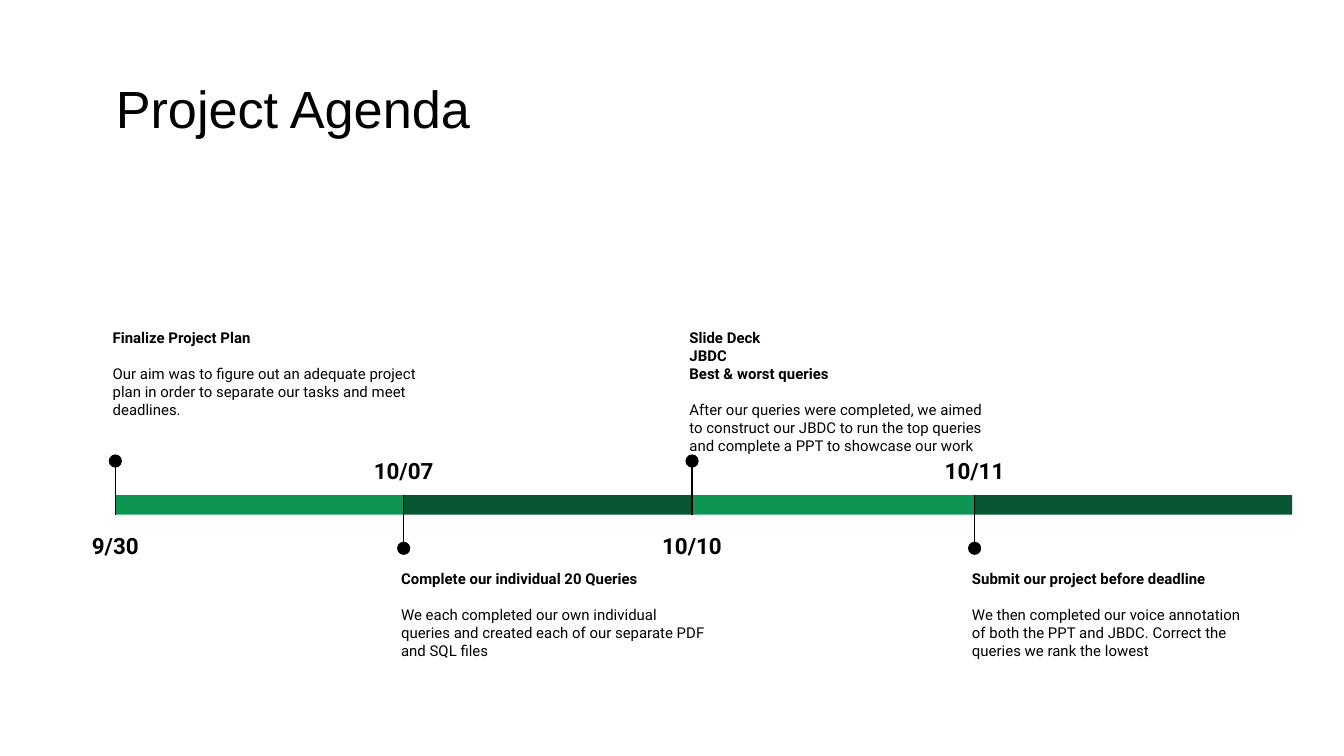
from pptx import Presentation
from pptx import util as u
from pptx.dml.color import RGBColor
from pptx.enum import shapes, text
from pptx.oxml import parse_xml
from pptx.oxml.ns import nsdecls


def color(hex_value):
    return RGBColor.from_string(hex_value)


def add_text(left, top, width, height, lines, size, font, align):
    frame = slide.shapes.add_textbox(u.Cm(left), u.Cm(top), u.Cm(width), u.Cm(height)).text_frame
    frame.word_wrap = True
    frame.margin_left = frame.margin_right = u.Cm(0.25)
    frame.margin_top = frame.margin_bottom = u.Cm(0.25)
    frame.text = "\n".join(lines)
    for paragraph in frame.paragraphs:
        paragraph.alignment = align
        paragraph.font.size = u.Pt(size)
        paragraph.font.name = font
        paragraph.font.color.rgb = color(BLACK)
    return frame.paragraphs


BLACK = "000000"
GREENS = ["0E9453", "085631"]
BAR_TOP = 9.36
BAR_HEIGHT = 0.37
BAR_END = 24.42
DOT = 0.25

milestones = [
    (2.18, "9/30", 2.4, 6.25, ["Finalize Project Plan"],
     "Our aim was to figure out an adequate project plan in order to separate our tasks and meet deadlines."),
    (7.63, "10/07", 2.08, 6.25, ["Complete our individual 20 Queries"],
     "We each completed our own individual queries and created each of our separate PDF and SQL files"),
    (13.08, "10/10", 1.93, 6.25, ["Slide Deck", "JBDC", "Best & worst queries"],
     "After our queries were completed, we aimed to construct our JBDC to run the top queries "
     "and complete a PPT to showcase our work"),
    (18.42, "10/11", 1.91, 5.77, ["Submit our project before deadline"],
     "We then completed our voice annotation of both the PPT and JBDC. Correct the queries we rank the lowest"),
]

prs = Presentation()
prs.slide_width = u.Cm(25.4)
prs.slide_height = u.Cm(14.29)
slide = prs.slides.add_slide(prs.slide_layouts[6])

add_text(1.42, 1.19, 8.23, 2.21, ["Project Agenda"], 28, "Arial", text.PP_ALIGN.CENTER)

bar_ends = [milestone[0] for milestone in milestones[1:]] + [BAR_END]
for index, (start, date, date_width, detail_width, headings, detail) in enumerate(milestones):
    if index % 2 == 0:
        pin_top, pin_bottom, dot_top, date_top, detail_top = 8.74, 9.73, 8.59, 9.73, 5.97
    else:
        pin_top, pin_bottom, dot_top, date_top, detail_top = 9.36, 10.36, 10.24, 8.31, 10.52

    bar = slide.shapes.add_shape(
        shapes.MSO_SHAPE.RECTANGLE,
        u.Cm(start), u.Cm(BAR_TOP), u.Cm(bar_ends[index] - start), u.Cm(BAR_HEIGHT))
    dot = slide.shapes.add_shape(
        shapes.MSO_SHAPE.OVAL, u.Cm(start - DOT / 2), u.Cm(dot_top), u.Cm(DOT), u.Cm(DOT))
    for part, fill in ((bar, GREENS[index % 2]), (dot, BLACK)):
        part.shadow.inherit = False
        part.fill.solid()
        part.fill.fore_color.rgb = color(fill)
        part.line.fill.background()

    pin = slide.shapes.add_connector(
        shapes.MSO_CONNECTOR.STRAIGHT, u.Cm(start), u.Cm(pin_top), u.Cm(start), u.Cm(pin_bottom))
    pin.line.color.rgb = color(BLACK)
    pin.line.width = u.Pt(0.75)
    pin._element.spPr.append(parse_xml(f"<a:effectLst {nsdecls('a')}/>"))

    date_line = add_text(start - date_width / 2, date_top, date_width, 1.04,
                         [date], 12, "Roboto", text.PP_ALIGN.CENTER)[0]
    date_line.font.bold = True
    date_line.line_spacing = 1.15

    *heading_lines, detail_line = add_text(start - 0.3, detail_top, detail_width, 2.62,
                                           headings + [detail], 8, "Roboto", text.PP_ALIGN.LEFT)
    for heading_line in heading_lines:
        heading_line.font.bold = True
    detail_line.space_before = u.Pt(9.5)

prs.save("out.pptx")
